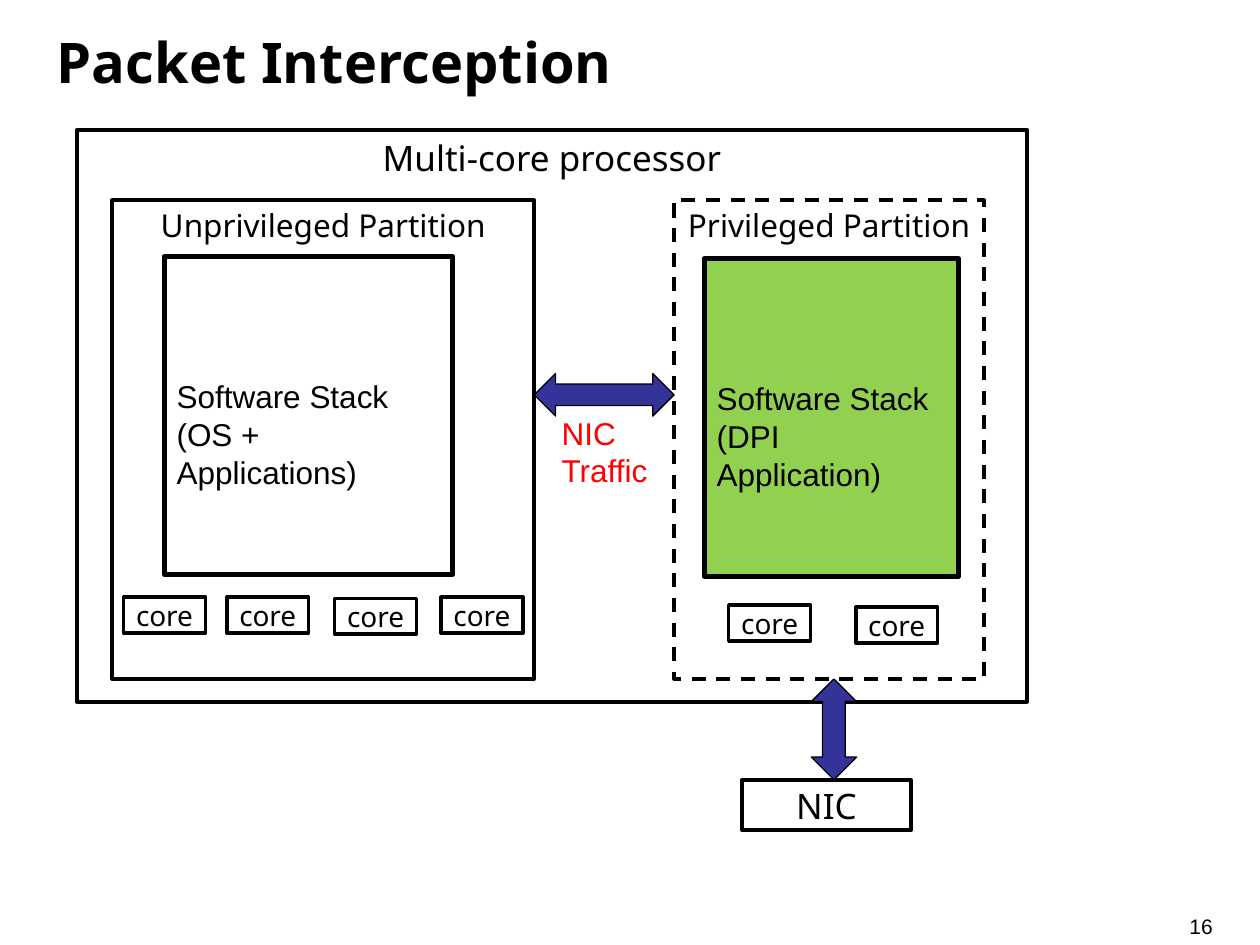
import pptx
import pptx.dml.color
import pptx.enum.dml
import pptx.enum.shapes
import pptx.enum.text
import pptx.util

Pt = pptx.util.Pt
SHAPE = pptx.enum.shapes.MSO_SHAPE
ANCHOR = pptx.enum.text.MSO_ANCHOR
ALIGN = pptx.enum.text.PP_ALIGN

COLORS = {"ink": "000000", "arrow": "333399", "dpi": "92D050", "traffic": "FF0000"}
HEADING_FONT = "Noto Sans"
BODY_FONT = "Arial"


def rgb(color):
    """Return the named colour as an RGBColor."""
    return pptx.dml.color.RGBColor.from_string(COLORS[color])


def place(item, box):
    """Move and size an item to (left, top, width, height) in points."""
    item.left, item.top, item.width, item.height = (Pt(value) for value in box)


def write(frame, lines, font, size, color="ink", align=ALIGN.LEFT, bold=False):
    """Write one paragraph per line and format its runs."""
    frame.word_wrap = True
    frame.text = "\n".join(lines)
    for paragraph in frame.paragraphs:
        paragraph.alignment = align
        for run in paragraph.runs:
            run.font.name = font
            run.font.size = Pt(size)
            run.font.bold = bold
            run.font.color.rgb = rgb(color)


def set_insets(frame, inset):
    """Give all four sides of a text frame the same inset."""
    frame.margin_left = frame.margin_right = Pt(inset)
    frame.margin_top = frame.margin_bottom = Pt(inset)


def add_outline(slide, kind, box, line_width, fill=None):
    """Add a preset shape with a black outline and an optional fill."""
    shape = slide.shapes.add_shape(kind, *(Pt(value) for value in box))
    shape.shadow.inherit = False
    if fill:
        shape.fill.solid()
        shape.fill.fore_color.rgb = rgb(fill)
    else:
        shape.fill.background()
    shape.line.color.rgb = rgb("ink")
    shape.line.width = Pt(line_width)
    return shape


def add_block(slide, label, box, size, anchor=ANCHOR.MIDDLE, dashed=False):
    """Add an unfilled hardware or partition block with a centred label."""
    block = add_outline(slide, SHAPE.RECTANGLE, box, 2)
    if dashed:
        block.line.dash_style = pptx.enum.dml.MSO_LINE.DASH
    set_insets(block.text_frame, 3.6)
    block.text_frame.vertical_anchor = anchor
    write(block.text_frame, [label], HEADING_FONT, size, align=ALIGN.CENTER)


def add_stack(slide, lines, box, fill=None):
    """Add a software stack whose text starts well below its top edge."""
    stack = add_outline(slide, SHAPE.RECTANGLE, box, 3, fill)
    stack.text_frame.vertical_anchor = ANCHOR.TOP
    stack.text_frame.margin_top = Pt(69)
    write(stack.text_frame, lines, BODY_FONT, 18)


def add_label(slide, text, box, size, color="ink", inset=None):
    """Add a free-standing text label."""
    label = slide.shapes.add_textbox(*(Pt(value) for value in box))
    if inset is not None:
        set_insets(label.text_frame, inset)
    write(label.text_frame, [text], BODY_FONT, size, color)


def add_title(slide, text):
    """Place and format the title placeholder."""
    title = slide.shapes.title
    place(title, (25.2, 5, 670.3, 59.8))
    title.text_frame.vertical_anchor = ANCHOR.MIDDLE
    write(title.text_frame, [text], HEADING_FONT, 32, bold=True)


def main():
    """Build the packet interception slide."""
    deck = pptx.Presentation()
    deck.slide_width, deck.slide_height = Pt(720), Pt(540)
    slide = deck.slides.add_slide(deck.slide_layouts[5])

    add_label(slide, "16", (679.7, 522, 36.7, 14.4), 12, inset=0)
    add_block(slide, "NIC", (424.1, 445.6, 96.5, 28.8), 20)
    add_block(slide, "Unprivileged Partition", (64.1, 114.4, 241.2, 273.6), 18, ANCHOR.TOP)
    add_block(slide, "Multi-core processor", (44, 74.2, 542.9, 326.9), 20, ANCHOR.TOP)
    add_block(slide, "Privileged Partition", (385.2, 114.4, 177.1, 273.6), 18,
              ANCHOR.TOP, dashed=True)
    add_title(slide, "Packet Interception")

    add_stack(slide, ["Software Stack", "(OS + Applications)"], (93.8, 146.7, 165, 181.5))
    add_stack(slide, ["Software Stack", "(DPI Application)"], (402.4, 147.8, 145.4, 181.5), "dpi")

    core_corners = [(70.6, 341.3), (129.6, 341.3), (191.2, 342), (252, 341.3),
                    (416.4, 345.8), (489, 347)]
    for left, top in core_corners:
        add_block(slide, "core", (left, top, 46.8, 20.4), 16)

    for kind, box in ((SHAPE.UP_DOWN_ARROW, (463.6, 388, 25.9, 57.6)),
                      (SHAPE.LEFT_RIGHT_ARROW, (305.3, 213.4, 79.9, 24.4))):
        add_outline(slide, kind, box, 0.75, "arrow")
    add_label(slide, "NIC Traffic", (313.8, 232.8, 79.9, 50.9), 18, "traffic")

    deck.save("out.pptx")


main()
